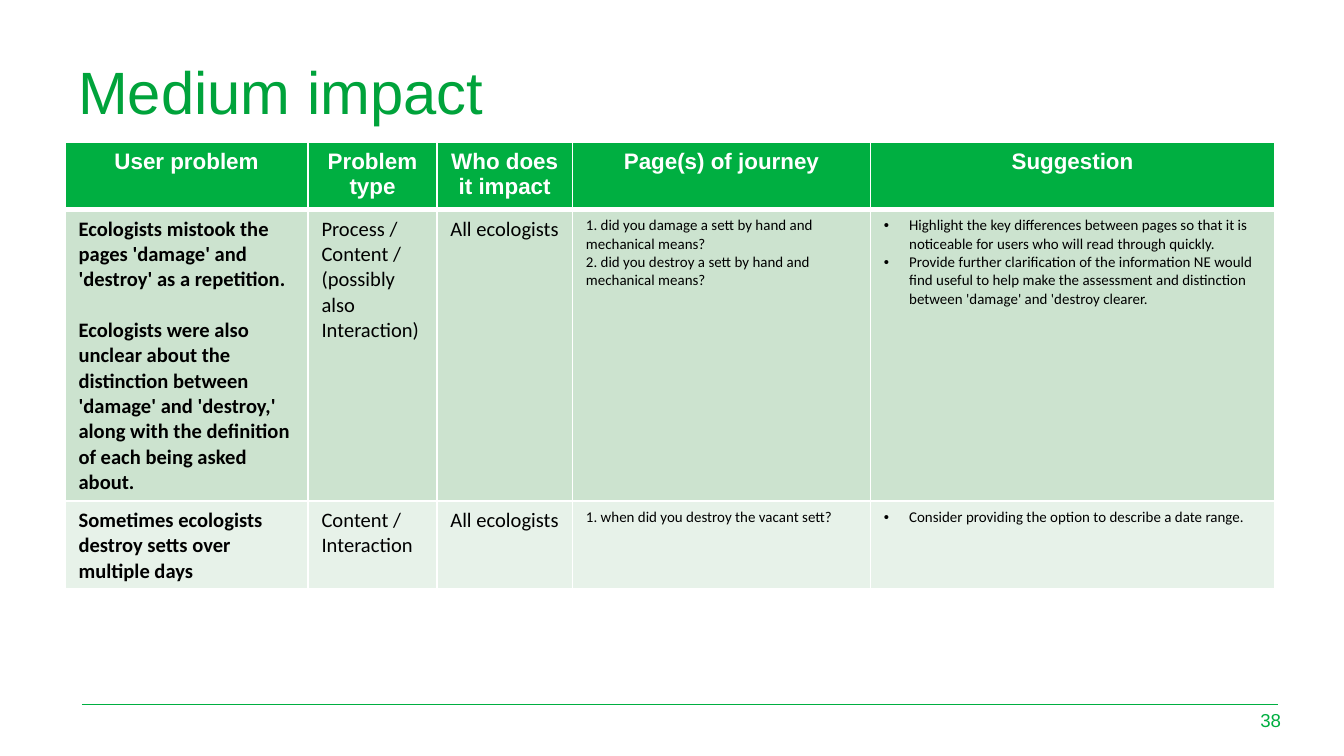
from lxml.etree import SubElement
from pptx import Presentation
from pptx.dml.color import RGBColor
from pptx.enum.shapes import MSO_CONNECTOR as Connector
from pptx.enum.text import MSO_ANCHOR as Anchor, MSO_AUTO_SIZE as AutoSize, PP_ALIGN as Align
from pptx.oxml.ns import qn
from pptx.util import Pt

GREEN = RGBColor(0x00, 0xAF, 0x41)
TITLE_GREEN = RGBColor(0x00, 0xA3, 0x3B)
DARK_BAND = RGBColor(0xCC, 0xE3, 0xCF)
LIGHT_BAND = RGBColor(0xE7, 0xF2, 0xE9)
WHITE = RGBColor(0xFF, 0xFF, 0xFF)
BLACK = RGBColor(0x00, 0x00, 0x00)

COLUMN_WIDTHS = [130.3, 69.1, 72.7, 159.8, 216.7]
ROW_HEIGHTS = [33, 156, 47]
HEADERS = ["User problem", "Problem type", "Who does it impact", "Page(s) of journey", "Suggestion"]
PROBLEMS = [
    [
        ["Ecologists mistook the pages 'damage' and 'destroy' as a repetition.",
         "Ecologists were also unclear about the distinction between 'damage' and 'destroy,' "
         "along with the definition of each being asked about."],
        ["Process / Content / (possibly also Interaction)"],
        ["All ecologists"],
        ["1. did you damage a sett by hand and mechanical means?",
         "2. did you destroy a sett by hand and mechanical means?"],
        ["Highlight the key differences between pages so that it is noticeable for users "
         "who will read through quickly.",
         "Provide further clarification of the information NE would find useful to help make "
         "the assessment and distinction between 'damage' and 'destroy clearer."],
    ],
    [
        ["Sometimes ecologists destroy setts over multiple days"],
        ["Content / Interaction"],
        ["All ecologists"],
        ["1. when did you destroy the vacant sett?"],
        ["Consider providing the option to describe a date range."],
    ],
]
HEADER_FORMAT = dict(size=12, color=WHITE, bold=True, align=Align.CENTER)
COLUMN_FORMATS = [
    dict(size=11, font="Calibri", bold=True, gap=13.4),
    dict(size=11, font="Calibri"),
    dict(size=11, font="Calibri"),
    dict(size=8, font="Calibri"),
    dict(size=8, font="Calibri", bullet=True),
]


def add_bullet(paragraph):
    properties = paragraph._p.get_or_add_pPr()
    properties.set("marL", str(Pt(13.5)))
    properties.set("indent", str(Pt(-13.5)))
    SubElement(properties, qn("a:buFont"), typeface="Arial")
    SubElement(properties, qn("a:buChar"), char="•")


def write_text(frame, lines, size, font="Arial", color=BLACK, bold=False,
               align=Align.LEFT, gap=0, bullet=False, line_spacing=None):
    frame.word_wrap = True
    for index, line in enumerate(lines):
        paragraph = frame.add_paragraph() if index else frame.paragraphs[0]
        paragraph.alignment = align
        if line_spacing:
            paragraph.line_spacing = line_spacing
        if index and gap:
            paragraph.space_before = Pt(gap)
        if bullet:
            add_bullet(paragraph)
        run = paragraph.add_run()
        run.text = line
        run.font.size = Pt(size)
        run.font.name = font
        run.font.bold = bold
        run.font.color.rgb = color


def set_borders(cell, **widths):
    properties = cell._tc.get_or_add_tcPr()
    for side in "LRTB":
        line = SubElement(properties, qn(f"a:ln{side}"), w=str(Pt(widths.get(side, 1))))
        fill = SubElement(line, qn("a:solidFill"))
        SubElement(fill, qn("a:srgbClr"), val=str(WHITE))


def fill_cell(cell, lines, color, text_format, **borders):
    set_borders(cell, **borders)
    cell.fill.solid()
    cell.fill.fore_color.rgb = color
    write_text(cell.text_frame, lines, **text_format)


def place_title(slide, text, left, top, width, height):
    title = slide.shapes.title
    title.left, title.top, title.width, title.height = Pt(left), Pt(top), Pt(width), Pt(height)
    frame = title.text_frame
    frame.auto_size = AutoSize.NONE
    frame.vertical_anchor = Anchor.TOP
    frame.margin_top = Pt(6)
    write_text(frame, [text], size=32, color=TITLE_GREEN, line_spacing=0.9)


def add_problem_table(slide, left, top, width, height):
    table = slide.shapes.add_table(len(ROW_HEIGHTS), len(COLUMN_WIDTHS),
                                   Pt(left), Pt(top), Pt(width), Pt(height)).table
    for column, share in zip(table.columns, COLUMN_WIDTHS):
        column.width = Pt(width * share / sum(COLUMN_WIDTHS))
    for row, share in zip(table.rows, ROW_HEIGHTS):
        row.height = Pt(height * share / sum(ROW_HEIGHTS))
    for column, header in enumerate(HEADERS):
        fill_cell(table.cell(0, column), [header], GREEN, HEADER_FORMAT, B=3)
    for row, (problem, band) in enumerate(zip(PROBLEMS, [DARK_BAND, LIGHT_BAND]), start=1):
        for column, (lines, text_format) in enumerate(zip(problem, COLUMN_FORMATS)):
            fill_cell(table.cell(row, column), lines, band, text_format, T=3 if row == 1 else 1)


def add_footer(slide, number, left, top, width, height):
    rule = slide.shapes.add_connector(Connector.STRAIGHT, Pt(left), Pt(top),
                                      Pt(left + width), Pt(top))
    rule.line.color.rgb = GREEN
    rule.line.width = Pt(0.5)
    SubElement(rule._element.spPr, qn("a:effectLst"))
    number_width = 32.4
    box = slide.shapes.add_textbox(Pt(left + width + 8.6 - number_width), Pt(top - 2.2),
                                   Pt(number_width), Pt(height))
    box.text_frame.vertical_anchor = Anchor.MIDDLE
    write_text(box.text_frame, [number], size=10, color=GREEN, align=Align.RIGHT)


def main():
    presentation = Presentation()
    presentation.slide_width, presentation.slide_height = Pt(720), Pt(405)
    slide = presentation.slides.add_slide(presentation.slide_layouts[5])
    add_footer(slide, "38", left=43.9, top=377.3, width=640.8, height=21.6)
    place_title(slide, "Medium impact", left=34.6, top=27.4, width=650.9, height=28.8)
    add_problem_table(slide, left=34.9, top=76.4, width=648, height=236)
    presentation.save("out.pptx")


if __name__ == "__main__":
    main()
